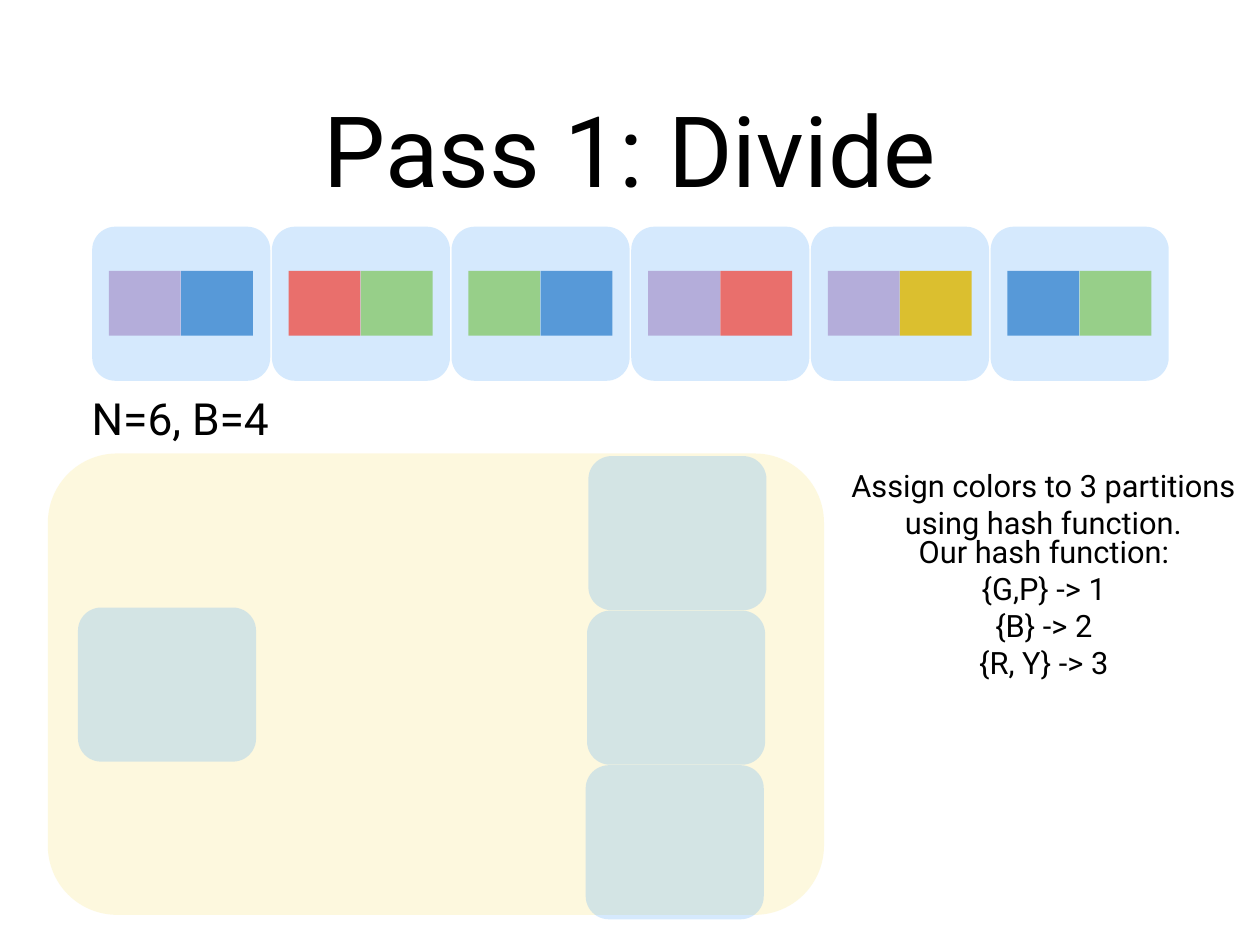
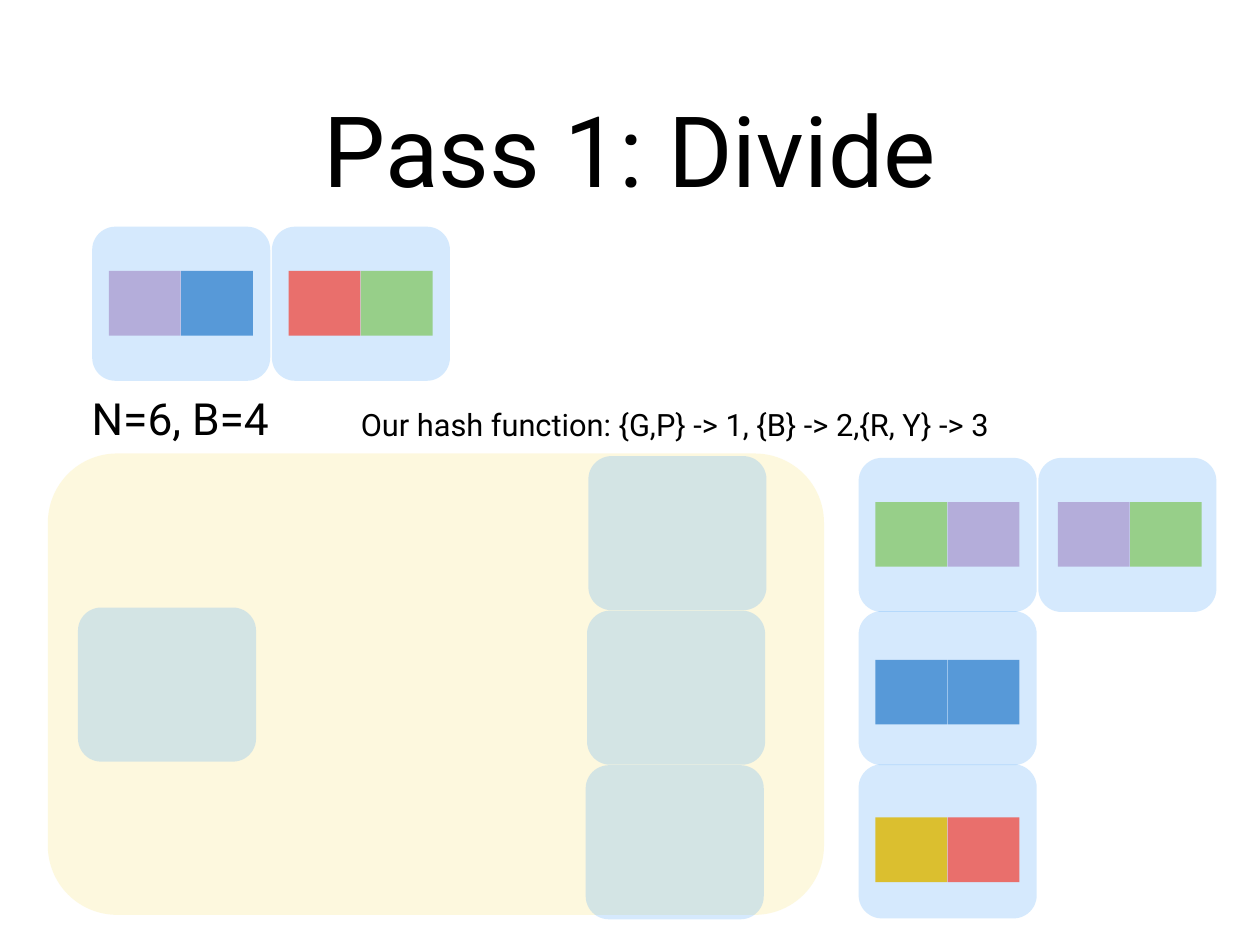
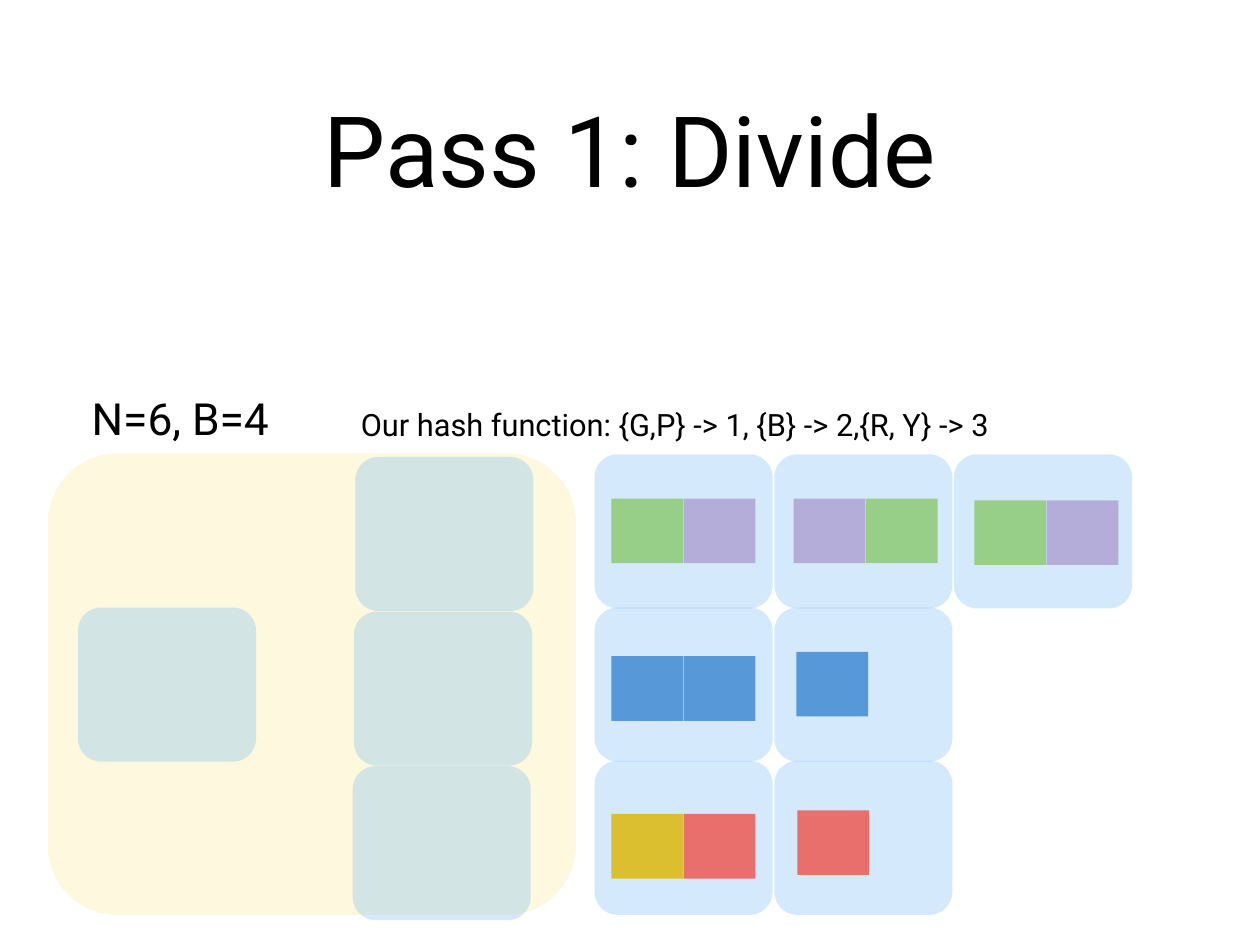
from pptx import Presentation
from pptx.dml.color import RGBColor
from pptx.enum.shapes import MSO_SHAPE
from pptx.enum.text import MSO_ANCHOR, PP_ALIGN
from pptx.oxml import parse_xml
from pptx.oxml.ns import nsdecls, qn
from pptx.util import Inches, Pt

SLIDE_W, SLIDE_H = 14.22, 10.67
FONT = "Roboto"
COLORS = {
    "text": "000000", "memory": "F5D328", "page": "51A7F9",
    "P": "773F9B", "B": "0365C0", "R": "EC5D57", "G": "70BF41", "Y": "DCBD23",
}
OPACITY = {"memory": 15, "page": 24, "P": 35, "B": 60, "R": 87, "G": 61, "Y": 94}

PAGE_W, PAGE_H = 2.01, 1.74
COL_STEP, ROW_STEP = 2.028, 1.73
RECORD_W, RECORD_H, RECORD_STEP = 0.81, 0.73, 0.815
INPUT_AT = (1.04, 2.56)
INPUT_BUFFER_AT = (0.88, 6.86)
BUFFER_COUNT, BUFFER_STEP = 3, (-0.015, 1.745)
MEMORY_AT, MEMORY_H = (0.54, 5.12), 5.21

TITLE = dict(lines=["Pass 1: Divide"], at=(1.04, 0.49, 12.14, 2.36), size=80,
             inset=0, anchor=MSO_ANCHOR.MIDDLE, wrap=True)
SIZES = dict(lines=["N=6, B=4"], at=(0.88, 4.36, 2.31, 0.71), size=36,
             anchor=MSO_ANCHOR.MIDDLE)
HASH_LINE = dict(lines=["Our hash function: {G,P} -> 1, {B} -> 2,{R, Y} -> 3"],
                 at=(3.36, 4.52, 8.51, 0.55), wrap=True)
ASSIGN = dict(lines=["Assign colors to 3 partitions", "using hash function."],
              at=(9.51, 5.21, 4.53, 0.95))
HASH_LIST = dict(lines=["Our hash function:", "{G,P} -> 1", "{B} -> 2", "{R, Y} -> 3"],
                 at=(10.24, 5.96, 3.08, 1.77))

STRAIGHT, SHIFTED = (0.19, 0), (0.22, 0)
INPUT = [(pair, STRAIGHT) for pair in ("PB", "RG", "GB", "PR", "PY", "BG")]
SLIDES = [
    dict(texts=[ASSIGN, HASH_LIST], memory_w=8.76, buffers_at=(6.64, 5.15),
         input=INPUT, output_at=(9.69, 5.17), output=[]),
    dict(texts=[HASH_LINE], memory_w=8.76, buffers_at=(6.64, 5.15),
         input=INPUT[:2], output_at=(9.69, 5.17),
         output=[[("GP", STRAIGHT), ("PG", SHIFTED)],
                 [("BB", STRAIGHT)],
                 [("YR", STRAIGHT)]]),
    dict(texts=[HASH_LINE], memory_w=5.96, buffers_at=(4.01, 5.16),
         input=[], output_at=(6.71, 5.13),
         output=[[("GP", STRAIGHT), ("PG", SHIFTED), ("GP", (0.23, 0.02))],
                 [("BB", STRAIGHT), ("B", (0.25, -0.05))],
                 [("YR", STRAIGHT), ("R", (0.26, -0.04))]]),
]


def add_text(s, lines, at, size=25, inset=0.06, anchor=MSO_ANCHOR.TOP, wrap=False):
    tf = s.shapes.add_textbox(*map(Inches, at)).text_frame
    frame = dict(word_wrap=wrap, vertical_anchor=anchor)
    frame.update({f"margin_{side}": Inches(inset)
                  for side in ("left", "top", "right", "bottom")})
    for name, value in frame.items():
        setattr(tf, name, value)
    for i, line in enumerate(lines):
        p = tf.paragraphs[0] if i == 0 else tf.add_paragraph()
        p.alignment = PP_ALIGN.CENTER
        r = p.add_run()
        r.text = line
        for name, value in dict(name=FONT, size=Pt(size)).items():
            setattr(r.font, name, value)
        r.font.color.rgb = RGBColor.from_string(COLORS["text"])


def add_block(s, kind, x, y, w, h):
    rounded = kind in ("memory", "page")
    shape = MSO_SHAPE.ROUNDED_RECTANGLE if rounded else MSO_SHAPE.RECTANGLE
    sp = s.shapes.add_shape(shape, *map(Inches, (x, y, w, h)))
    if rounded:
        sp.adjustments[0] = 0.15
    sp.shadow.inherit = False
    sp.line.fill.background()
    sp.fill.solid()
    sp.fill.fore_color.rgb = RGBColor.from_string(COLORS[kind])
    alpha = parse_xml(f'<a:alpha {nsdecls("a")} val="{OPACITY[kind] * 1000}"/>')
    sp.element.spPr.find(".//" + qn("a:srgbClr")).append(alpha)


def add_pages(s, origin, rows):
    for row, pages in enumerate(rows):
        for col, (records, (dx, dy)) in enumerate(pages):
            x, y = origin[0] + col * COL_STEP, origin[1] + row * ROW_STEP
            add_block(s, "page", x, y, PAGE_W, PAGE_H)
            top = y + 0.5 + 0.05 * row + dy
            for i, record in enumerate(records):
                add_block(s, record, x + dx + i * RECORD_STEP, top, RECORD_W, RECORD_H)


def add_memory(s, width, buffers_at):
    add_block(s, "memory", *MEMORY_AT, width, MEMORY_H)
    add_block(s, "page", *INPUT_BUFFER_AT, PAGE_W, PAGE_H)
    for i in range(BUFFER_COUNT):
        x, y = (start + i * step for start, step in zip(buffers_at, BUFFER_STEP))
        add_block(s, "page", x, y, PAGE_W, PAGE_H)


def main():
    prs = Presentation()
    prs.slide_width, prs.slide_height = Inches(SLIDE_W), Inches(SLIDE_H)
    for content in SLIDES:
        s = prs.slides.add_slide(prs.slide_layouts[6])
        add_text(s, **TITLE)
        add_text(s, **SIZES)
        add_memory(s, content["memory_w"], content["buffers_at"])
        for text in content["texts"]:
            add_text(s, **text)
        add_pages(s, INPUT_AT, [content["input"]])
        add_pages(s, content["output_at"], content["output"])
    prs.save("out.pptx")


if __name__ == "__main__":
    main()
